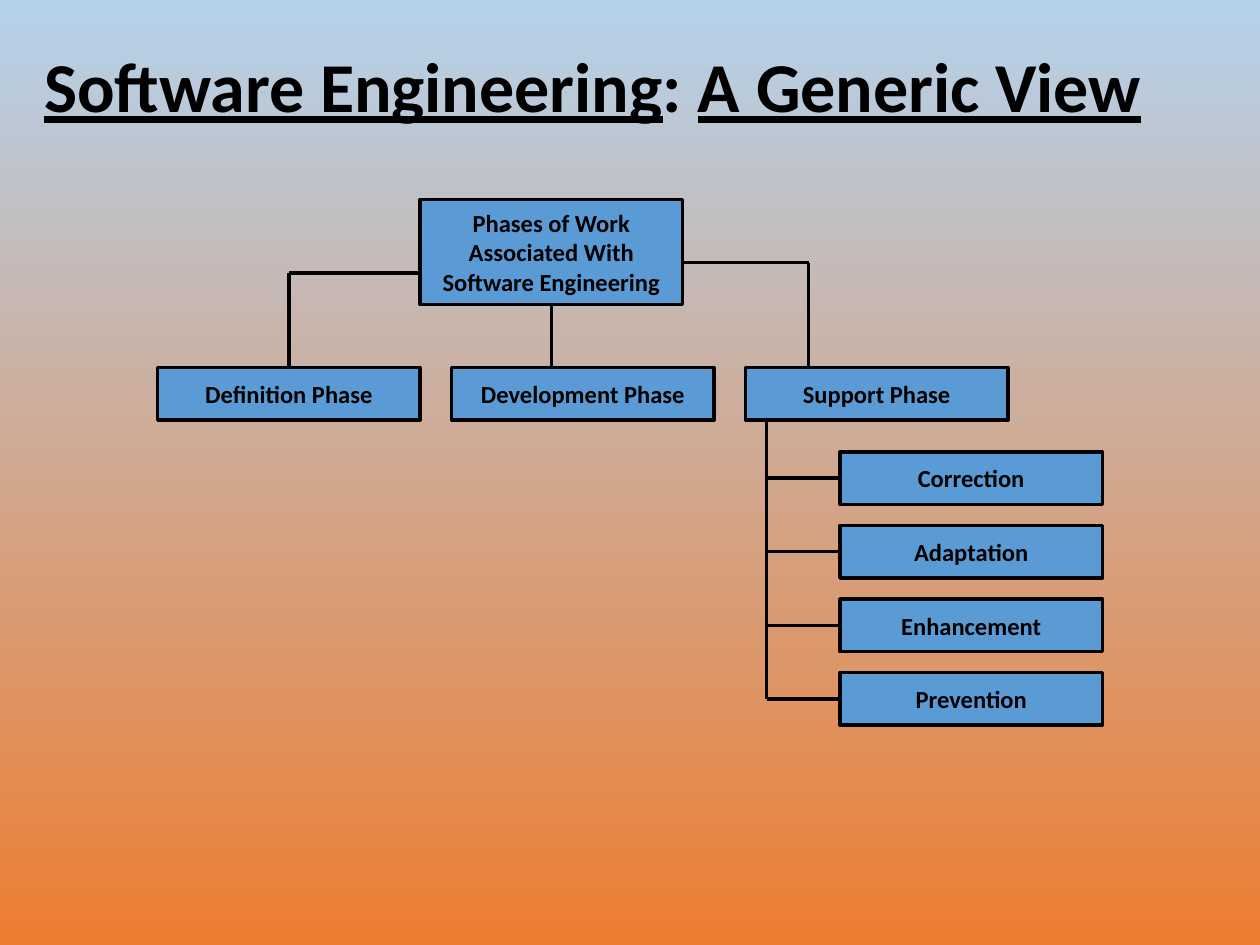
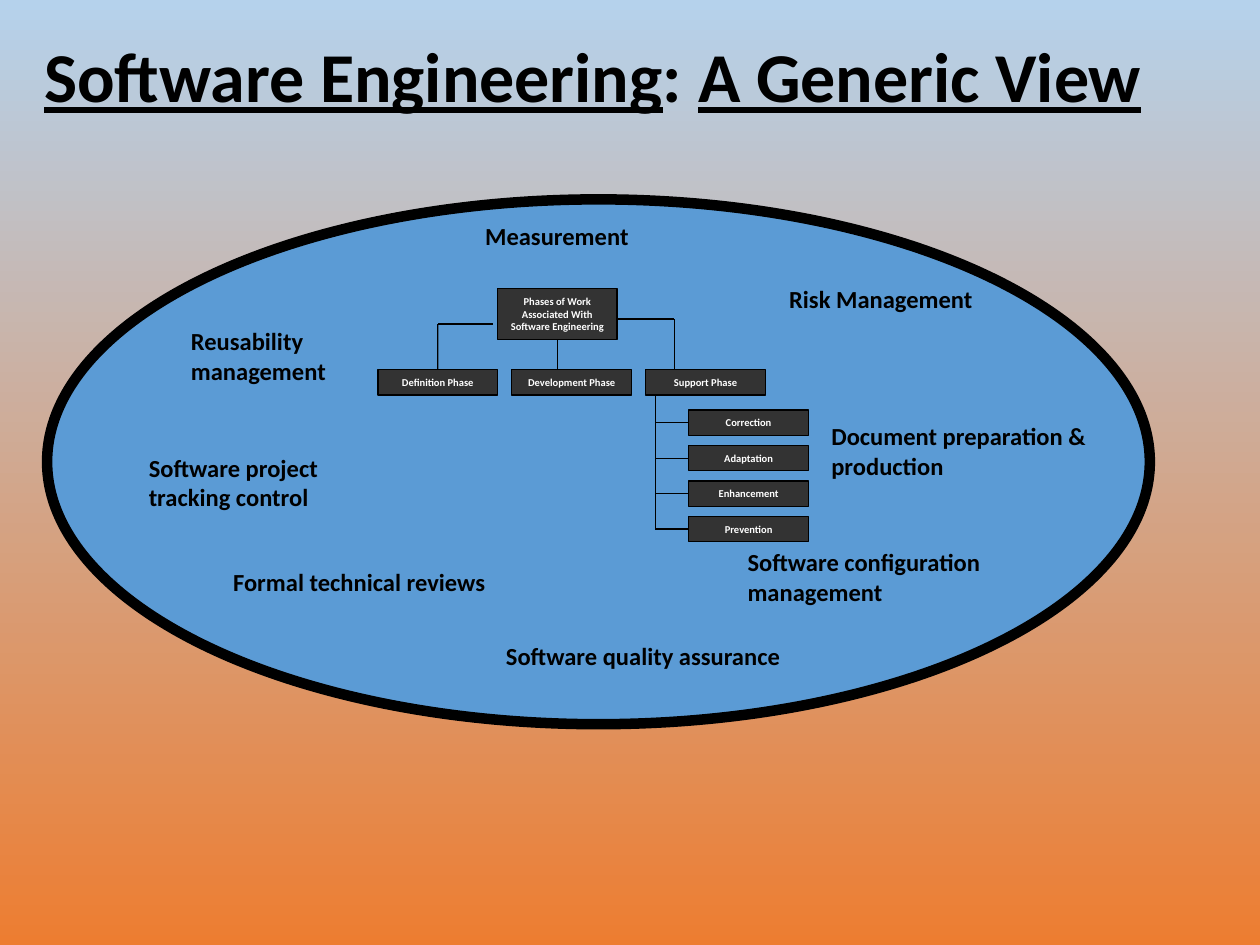
"""Build two slides on the phases of software engineering work."""
from dataclasses import dataclass

from lxml import etree
from pptx import Presentation
from pptx.dml.color import RGBColor
from pptx.enum.shapes import MSO_CONNECTOR, MSO_SHAPE
from pptx.enum.text import MSO_ANCHOR, MSO_AUTO_SIZE, PP_ALIGN
from pptx.oxml.ns import qn
from pptx.util import Cm, Pt

BOX, OVAL = MSO_SHAPE.FLOWCHART_PROCESS, MSO_SHAPE.OVAL
LINE = MSO_CONNECTOR.STRAIGHT
LEFT, CENTER = PP_ALIGN.LEFT, PP_ALIGN.CENTER
TOP, MIDDLE = MSO_ANCHOR.TOP, MSO_ANCHOR.MIDDLE
FIXED = MSO_AUTO_SIZE.NONE


@dataclass(frozen=True)
class Theme:
    font: str = "Calibri"
    sky: RGBColor = RGBColor(0xB5, 0xD2, 0xEC)
    rust: RGBColor = RGBColor(0xED, 0x7D, 0x31)
    blue: RGBColor = RGBColor(0x5B, 0x9B, 0xD5)
    dark: RGBColor = RGBColor(0x33, 0x33, 0x33)
    black: RGBColor = RGBColor(0, 0, 0)
    white: RGBColor = RGBColor(255, 255, 255)
    title: Pt = Pt(40)
    body: Pt = Pt(14)
    small: Pt = Pt(6)


theme = Theme()


def write(frame, text, size, color, align, anchor, wrap):
    frame.text = text
    frame.word_wrap = wrap
    frame.auto_size = FIXED
    frame.vertical_anchor = anchor
    frame.margin_left = frame.margin_right = Cm(0.25)
    frame.margin_top = frame.margin_bottom = Cm(0.13)
    for para in frame.paragraphs:
        para.alignment = align
        para.font.name = theme.font
        para.font.size = size
        para.font.bold = True
        para.font.color.rgb = color


def tree(slide, left, top, wide, tall, gap, fill, ink, size, weight):
    """Draw the phase tree on a grid where the root is 25 by 10 units."""
    group = slide.shapes.add_group_shape().shapes
    col, row = wide / 25, tall / 10
    nodes = {}
    for name, x, y, high in NODES:
        node = group.add_shape(BOX, Cm(left + x * col), Cm(top + y * row),
                               Cm(wide), Cm(high * row))
        node.shadow.inherit = False
        node.fill.solid()
        node.fill.fore_color.rgb = fill
        node.line.color.rgb = theme.black
        node.line.width = weight
        write(node.text_frame, name, size, ink, CENTER, MIDDLE, False)
        nodes[name] = node
    links = [(25 - gap, 7, 12.5, 7, None, None),
             (12.5, 7, 12.5, 16, None, PHASES[0]),
             (50, 6, 62, 6, None, None),
             (62, 6, 62, 16, None, None),
             (37.5, 10, 37.5, 16, ROOT, None),
             (58, 21, 58, 47.5, None, None)]
    links += [(58, y + high / 2, x, y + high / 2, None, name)
              for name, x, y, high in NODES[-len(TASKS):]]
    for x1, y1, x2, y2, start, end in links:
        link = group.add_connector(LINE, Cm(left + x1 * col), Cm(top + y1 * row),
                                   Cm(left + x2 * col), Cm(top + y2 * row))
        link.line.color.rgb = theme.black
        link.line.width = weight
        etree.SubElement(link._element.spPr, qn("a:effectLst"))
        if start:
            link.begin_connect(nodes[start], 2)
        if end:
            link.end_connect(nodes[end], 1 if end in TASKS else 0)


ROOT = "Phases of Work\nAssociated With\nSoftware Engineering"
PHASES = ["Definition Phase", "Development Phase", "Support Phase"]
TASKS = ["Correction", "Adaptation", "Enhancement", "Prevention"]
NODES = [(ROOT, 25, 0, 10)]
NODES += [(name, 28 * i, 16, 5) for i, name in enumerate(PHASES)]
NODES += [(name, 65, 24 + 7 * i, 5) for i, name in enumerate(TASKS)]

deck = Presentation()
deck.slide_width, deck.slide_height = Cm(25.4), Cm(19.05)
back = deck.slide_master.background.fill
back.gradient()
back.gradient_angle = 270
for stop, color, spot in zip(back.gradient_stops, (theme.sky, theme.rust), (0, 1)):
    stop.color.rgb = color
    stop.position = spot

slides = []
for left, top, wide, tall, align, space in [
        (0.64, -0.03, 23.24, 3.68, LEFT, 0.9),
        (0.2, 0.53, 23.5, 1.96, CENTER, 1.0)]:
    slide = deck.slides.add_slide(deck.slide_layouts[5])
    title = slide.shapes.title
    title.left, title.top = Cm(left), Cm(top)
    title.width, title.height = Cm(wide), Cm(tall)
    write(title.text_frame, "", theme.title, theme.black, align, MIDDLE, True)
    para = title.text_frame.paragraphs[0]
    para.line_spacing = space
    for part, under in [("Software Engineering", True), (": ", False),
                        ("A Generic View", True)]:
        run = para.add_run()
        run.text = part
        run.font.underline = under
    slides.append(slide)

first, second = slides
tree(first, 3.18, 4.02, 5.29, 2.12, 0, theme.blue, theme.black, theme.body, Pt(2))

oval = second.shapes.add_shape(OVAL, Cm(0.95), Cm(4.02), Cm(22.23), Cm(10.58))
oval.shadow.inherit = False
oval.fill.solid()
oval.fill.fore_color.rgb = theme.blue
oval.line.color.rgb = theme.black
oval.line.width = Pt(6)
tree(second, 7.62, 5.82, 2.41, 1.02, 1, theme.dark, theme.white, theme.small, Pt(0.75))

for text, left, top, wide, tall in [
        ("Software project tracking control", 2.75, 9, 5.5, 1.45),
        ("Formal technical reviews", 4.45, 11.3, 7.62, 0.86),
        ("Software quality assurance", 9.95, 12.8, 7.62, 0.86),
        ("Software configuration management", 14.82, 10.9, 7.62, 1.45),
        ("Document preparation & production", 16.51, 8.36, 6.77, 1.45),
        ("Reusability management", 3.6, 6.45, 5.5, 1.45),
        ("Measurement", 9.53, 4.32, 4.02, 0.86),
        ("Risk Management", 15.66, 5.59, 4.45, 0.86)]:
    label = second.shapes.add_textbox(Cm(left), Cm(top), Cm(wide), Cm(tall))
    write(label.text_frame, text, theme.body, theme.black, LEFT, TOP, True)

deck.save("out.pptx")
